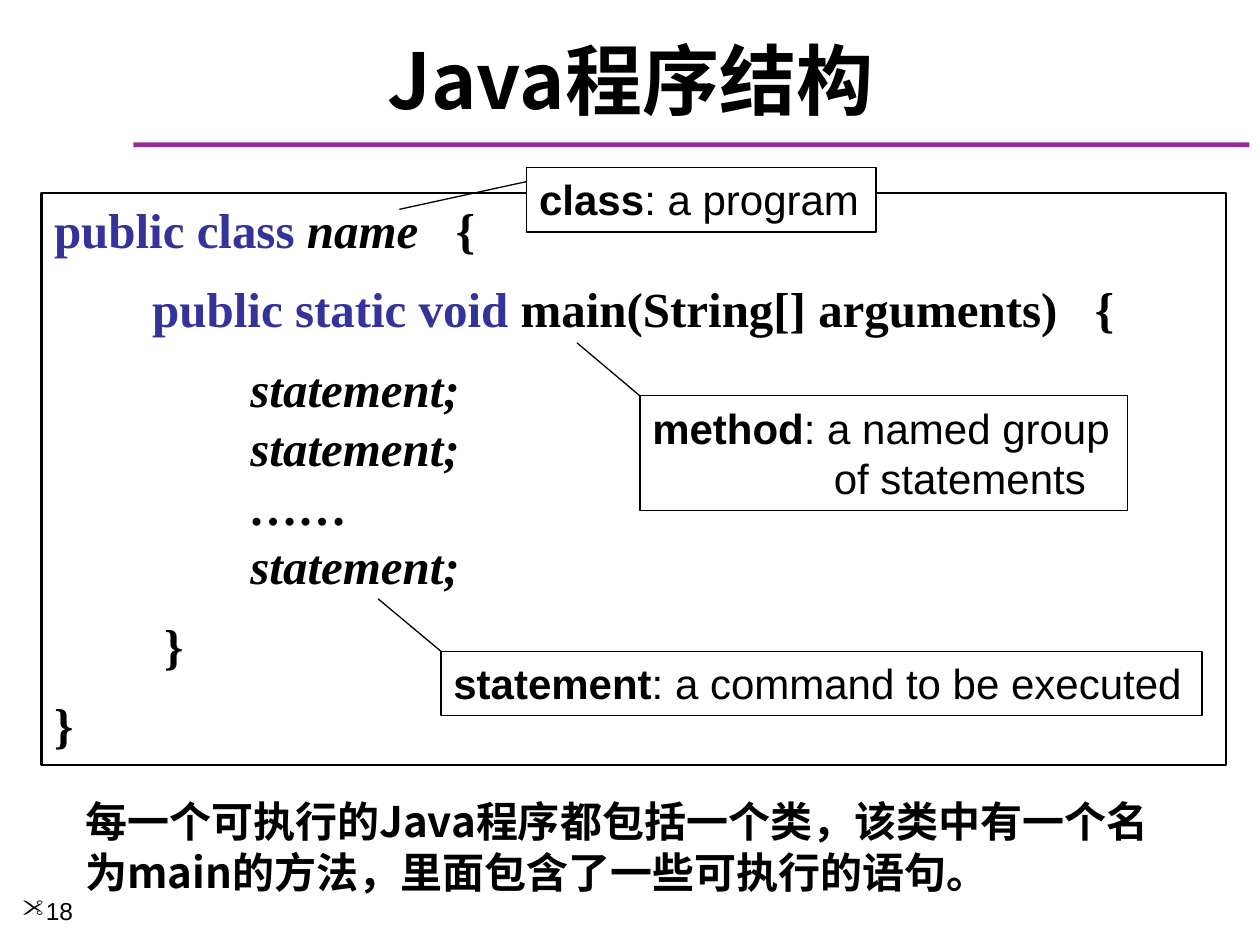
from pptx import Presentation
from pptx.dml.color import RGBColor as RGB
from pptx.enum.shapes import MSO_CONNECTOR as CONN, MSO_SHAPE as SHAPE
from pptx.enum.text import MSO_ANCHOR as ANCHOR, PP_ALIGN as ALIGN
from pptx.oxml.ns import qn
from pptx.util import Cm, Pt
from lxml.etree import SubElement

COLORS = {"ink": "000000", "key": "333399", "rule": "973095", "paper": "FFFFFF"}
SANS, SERIF, CJK = "Arial", "Times New Roman", "Noto Sans CJK SC"


class Deck:
    """Holds the style and the current slide, and draws its elements."""

    def __init__(self):
        self.prs = Presentation()
        self.prs.slide_width, self.prs.slide_height = Cm(25.4), Cm(19.05)
        self.s = self.prs.slides.add_slide(self.prs.slide_layouts[5])

    def color(self, name):
        return RGB.from_string(COLORS[name])

    def run(self, p, text, font, size, color="ink", **fmt):
        for i, part in enumerate(text.split("\n")):
            if i:
                p.add_line_break()
            r = p.add_run()
            r.text = part
            for k, v in {"name": font, "size": Pt(size), **fmt}.items():
                setattr(r.font, k, v)
            r.font.color.rgb = self.color(color)
            if font == CJK:
                SubElement(r.font._element, qn("a:ea"), typeface=font)

    def para(self, p, tabs=(), indent=0, **fmt):
        for k, v in fmt.items():
            setattr(p, k, v)
        pPr = p._p.get_or_add_pPr()
        if indent:
            pPr.set("marL", str(Cm(indent)))
            pPr.set("indent", str(-Cm(indent)))
        if tabs:
            lst = SubElement(pPr, qn("a:tabLst"))
            for pos in tabs:
                SubElement(lst, qn("a:tab"), pos=str(Cm(pos)), algn="l")
        return p

    def title(self, text, box):
        sp = self.s.shapes.title
        sp.left, sp.top, sp.width, sp.height = map(Cm, box)
        sp.text_frame.vertical_anchor = ANCHOR.MIDDLE
        p = self.para(sp.text_frame.paragraphs[0], alignment=ALIGN.CENTER)
        self.run(p, text, CJK, 44, bold=True)

    def bar(self, box):
        sp = self.s.shapes.add_shape(SHAPE.RECTANGLE, *map(Cm, box))
        sp.shadow.inherit = False
        sp.fill.solid()
        sp.fill.fore_color.rgb = self.color("rule")
        sp.line.fill.background()

    def box(self, box, line=0, fill=None, shapes=None):
        sp = (shapes or self.s.shapes).add_textbox(*map(Cm, box))
        sp.text_frame.word_wrap = True
        if line:
            sp.line.width = Pt(line)
            sp.line.color.rgb = self.color("ink")
        if fill:
            sp.fill.solid()
            sp.fill.fore_color.rgb = self.color(fill)
        return sp.text_frame

    def code(self, box, lines):
        tf = self.box(box, 1.5)
        for i, (tabs, before, runs) in enumerate(lines):
            p = tf.add_paragraph() if i else tf.paragraphs[0]
            self.para(p, tabs, space_before=Pt(before))
            for text, color, italic in runs:
                self.run(p, text, SERIF, 28, color, bold=True, italic=italic)

    def callout(self, term, text, box, start, end, indent):
        shapes = self.s.shapes.add_group_shape().shapes
        tf = self.box(box, 0.75, "paper", shapes)
        p = self.para(tf.paragraphs[0], indent=indent)
        self.run(p, term, SANS, 24, bold=True)
        self.run(p, text, SANS, 24, bold=False)
        c = shapes.add_connector(CONN.STRAIGHT, *map(Cm, start + end))
        c.line.width = Pt(0.75)
        c.line.color.rgb = self.color("ink")
        SubElement(c._element.spPr, qn("a:effectLst"))

    def note(self, text, box):
        p = self.para(self.box(box).paragraphs[0], line_spacing=Pt(29.1))
        self.run(p, text, CJK, 24, bold=True)

    def number(self, text, box):
        p = self.box(box).paragraphs[0]
        pPr = p._p.get_or_add_pPr()
        SubElement(pPr, qn("a:buFont"), typeface="Wingdings")
        SubElement(pPr, qn("a:buChar"), char='"')
        self.run(p, text, SANS, 14)


STEP = 1.98
STATEMENT = ((2 * STEP,), 0, [("\tstatement;", "ink", True)])
CODE = [
    ((8.1,), 12, [("public class ", "key", False), ("name", "ink", True), ("\t{", "ink", False)]),
    ((STEP, 20.98), 12, [("\tpublic static void", "key", False),
                         (" main(String[] arguments)\t{", "ink", False)]),
    ((2 * STEP,), 12, STATEMENT[2]),
    STATEMENT,
    ((2 * STEP,), 0, [("\t……", "ink", True)]),
    STATEMENT,
    ((2.22,), 12, [("\t}", "ink", False)]),
    ((), 12, [("}", "ink", False)]),
]
CALLOUTS = [
    ("class", ": a program", (10.62, 3.38, 7.04, 1.3), (10.62, 3.66), (8.05, 4.22), 0.79),
    ("statement", ": a command to be executed", (8.89, 13.13, 15.34, 1.3),
     (8.89, 13.13), (7.62, 12.07), 0.79),
    ("method", ": a named group\nof statements", (12.9, 7.98, 9.83, 2.31),
     (12.9, 7.98), (11.63, 6.91), 3.66),
]

deck = Deck()
deck.bar((2.69, 2.87, 22.5, 0.1))
deck.title("Java程序结构", (0.43, 0.64, 24.56, 1.9))
deck.number("18", (0.2, 17.93, 2.74, 1.12))
deck.code((0.84, 3.89, 23.88, 11.53), CODE)
for callout in CALLOUTS:
    deck.callout(*callout)
deck.note("每一个可执行的Java程序都包括一个类，该类中有一个名为main的方法，里面包含了一些可执行的语句。",
          (1.47, 15.9, 22.02, 2.31))
deck.prs.save("out.pptx")
